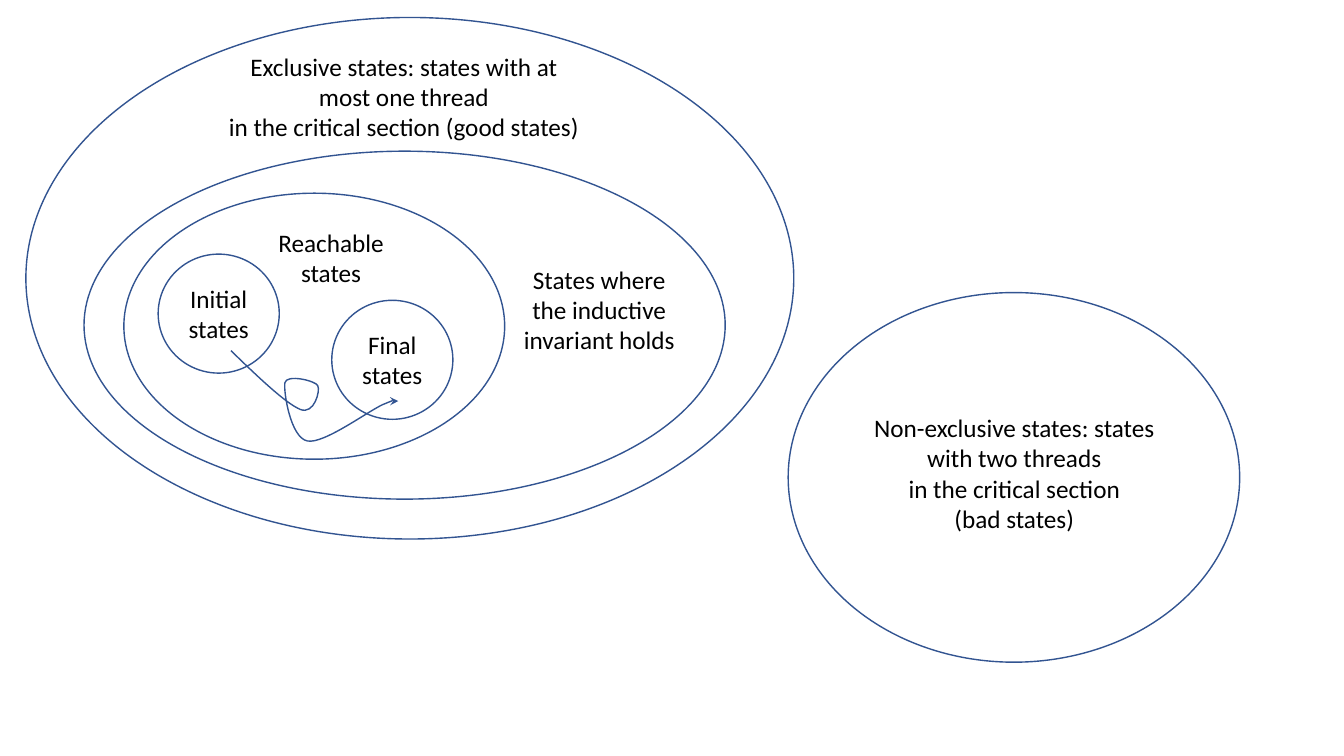
"""Nested state sets of a mutual exclusion proof, with a sample execution."""
from dataclasses import dataclass

import pptx
import pptx.dml.color
import pptx.enum.shapes
import pptx.enum.text
import pptx.oxml
import pptx.oxml.ns
import pptx.util

Pt = pptx.util.Pt
COLORS = {"line": "325491", "text": "000000"}
FONT = "Calibri"


@dataclass
class Box:
    """A set outline or a label: place in points, one string per paragraph."""
    left: float
    top: float
    width: float
    height: float
    lines: tuple[str, ...] = ()

    def lengths(self) -> tuple:
        """Return left, top, width and height as lengths."""
        return Pt(self.left), Pt(self.top), Pt(self.width), Pt(self.height)


SETS = [
    Box(563, 209, 322.5, 264),  # non-exclusive
    Box(18.5, 12.5, 548.5, 372.5),  # exclusive
    Box(60, 108, 458, 248.5),  # inductive invariant
    Box(88.5, 138, 272, 190),  # reachable
    Box(113, 181.5, 86.5, 85, ("Initial", "states")),
    Box(237, 214.5, 86.5, 85, ("Final", "states")),
]
LABELS = [
    Box(186.5, 158.5, 100, 51, ("Reachable states",)),
    Box(360.5, 185, 135, 73, ("States where the inductive invariant holds",)),
    Box(152.5, 33, 272, 73, ("Exclusive states: states with at most one thread",
                             "in the critical section (good states)")),
    Box(611.5, 291, 226, 94.5, ("Non-exclusive states: states with two threads",
                                "in the critical section", "(bad states)")),
]
# Start point, then two control points and an end point for each curve.
EXECUTION = [
    (165, 250.5),
    (184.5, 269.5), (204, 288), (214.5, 292.5),
    (224.5, 296.5), (229, 279), (227, 275.5),
    (225.5, 272), (204.5, 267), (203.5, 273.5),
    (202.5, 280), (207.5, 312.5), (219.5, 315),
    (231, 317.5), (262.5, 294), (273.5, 289),
    (284.5, 284.5), (284.5, 285), (284.5, 286.5),
]


def set_text(tf, lines: tuple[str, ...]) -> None:
    """Write centred paragraphs in the diagram's font."""
    tf.word_wrap = True
    tf.text = "\n".join(lines)
    for p in tf.paragraphs:
        p.alignment = pptx.enum.text.PP_ALIGN.CENTER
        for r in p.runs:
            r.font.name = FONT
            r.font.size = Pt(18)
            r.font.color.rgb = pptx.dml.color.RGBColor.from_string(COLORS["text"])


def outline(sp) -> None:
    """Leave a shape unfilled with a thin blue outline."""
    sp.shadow.inherit = False
    sp.fill.background()
    sp.line.color.rgb = pptx.dml.color.RGBColor.from_string(COLORS["line"])
    sp.line.width = Pt(1)


def add_set(s, box: Box) -> None:
    """Draw a set of states as an ellipse, with its name if it has one."""
    sp = s.shapes.add_shape(pptx.enum.shapes.MSO_SHAPE.OVAL, *box.lengths())
    outline(sp)
    if box.lines:
        sp.text_frame.vertical_anchor = pptx.enum.text.MSO_ANCHOR.MIDDLE
        set_text(sp.text_frame, box.lines)


def add_label(s, box: Box) -> None:
    """Add a free-standing label."""
    tf = s.shapes.add_textbox(*box.lengths()).text_frame
    set_text(tf, box.lines)
    tf.auto_size = pptx.enum.text.MSO_AUTO_SIZE.SHAPE_TO_FIT_TEXT


def add_curved_arrow(s, points: list[tuple[float, float]]) -> None:
    """Draw joined cubic curves that end in a stealth arrowhead."""
    start, *rest = [(Pt(x), Pt(y)) for x, y in points]
    builder = s.shapes.build_freeform(*start)
    builder.add_line_segments(rest, close=False)
    sp = builder.convert_to_shape()
    outline(sp)
    qn = pptx.oxml.ns.qn
    segments = list(sp._element.iter(qn("a:lnTo")))
    for i in range(0, len(segments), 3):
        curve = pptx.oxml.parse_xml(
            f"<a:cubicBezTo {pptx.oxml.ns.nsdecls('a')}/>")
        segments[i].addprevious(curve)
        for segment in segments[i:i + 3]:
            curve.append(segment[0])
            segment.getparent().remove(segment)
    head = pptx.oxml.parse_xml(
        f"<a:tailEnd {pptx.oxml.ns.nsdecls('a')} type='stealth'/>")
    sp.line._get_or_add_ln().append(head)


def main() -> None:
    """Build and save the slide."""
    prs = pptx.Presentation()
    prs.slide_width, prs.slide_height = Pt(960), Pt(540)
    s = prs.slides.add_slide(prs.slide_layouts[6])
    for box in SETS:
        add_set(s, box)
    for box in LABELS:
        add_label(s, box)
    add_curved_arrow(s, EXECUTION)
    prs.save("out.pptx")


main()
